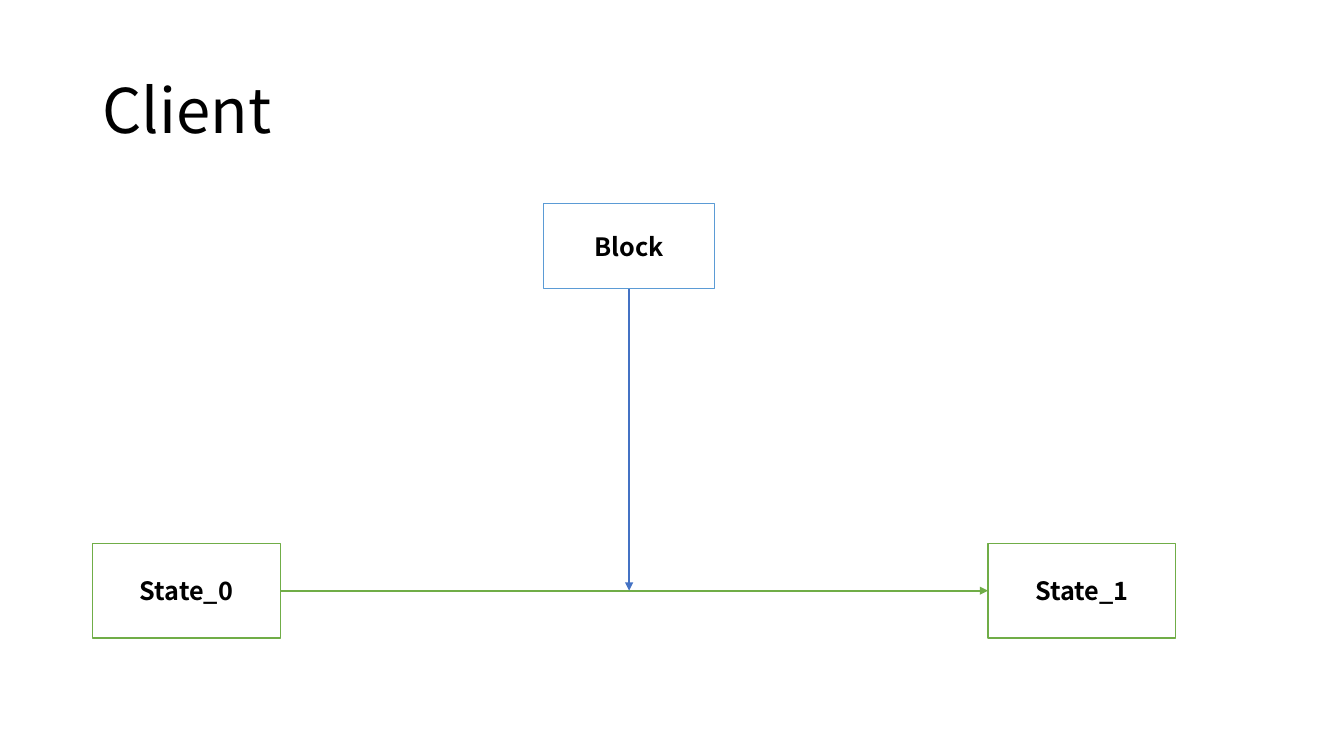
import pptx
import pptx.dml.color
import pptx.enum.shapes
import pptx.enum.text
import pptx.oxml.ns
import pptx.util
import lxml.etree

Inches = pptx.util.Inches
FONT = "Noto Sans CJK SC"
COLORS = {
    "text": "000000",
    "box": "FFFFFF",
    "state": "70AD47",
    "block": "5B9BD5",
    "input": "4472C4",
}


def color(name):
    """Return the named colour."""
    return pptx.dml.color.RGBColor.from_string(COLORS[name])


def write_text(shape, text, size, bold, alignment):
    """Put one vertically centred line of text in a shape."""
    frame = shape.text_frame
    frame.word_wrap = True
    frame.vertical_anchor = pptx.enum.text.MSO_ANCHOR.MIDDLE
    frame.text = text
    paragraph = frame.paragraphs[0]
    paragraph.alignment = alignment
    font = paragraph.runs[0].font
    font.name = FONT
    font.size = pptx.util.Pt(size)
    font.bold = bold
    font.color.rgb = color("text")


def add_title(slide, left, top, width, height):
    """Add the slide title in the given box."""
    title = slide.shapes.add_textbox(
        Inches(left), Inches(top), Inches(width), Inches(height))
    write_text(title, "Client", 44, False, pptx.enum.text.PP_ALIGN.LEFT)
    title.text_frame.paragraphs[0].line_spacing = 0.9


def add_box(slide, text, line_color, left, top, width, height):
    """Add an outlined box with a bold centred label."""
    box = slide.shapes.add_shape(
        pptx.enum.shapes.MSO_SHAPE.RECTANGLE,
        Inches(left), Inches(top), Inches(width), Inches(height))
    box.shadow.inherit = False
    box.fill.solid()
    box.fill.fore_color.rgb = color("box")
    box.line.color.rgb = color(line_color)
    box.line.width = pptx.util.Pt(1)
    write_text(box, text, 18, True, pptx.enum.text.PP_ALIGN.CENTER)


def add_arrow(slide, line_color, start, end):
    """Add a straight arrow between two points."""
    arrow = slide.shapes.add_connector(
        pptx.enum.shapes.MSO_CONNECTOR.STRAIGHT,
        *(Inches(length) for length in (*start, *end)))
    arrow.line.color.rgb = color(line_color)
    arrow.line.width = pptx.util.Pt(1.5)
    lxml.etree.SubElement(
        arrow.line._get_or_add_ln(), pptx.oxml.ns.qn("a:tailEnd"), type="triangle")
    lxml.etree.SubElement(
        arrow._element.spPr, pptx.oxml.ns.qn("a:effectLst"))


def add_transition(slide, left, top, width, height):
    """Add two states, the arrow between them and the block that acts on it."""
    state_width, state_height = 1.86, 0.94
    block_width, block_height = 1.7, 0.84
    state_top = top + height - state_height
    last_left = left + width - state_width
    arrow_y = state_top + state_height / 2
    block_x = left + 5.32

    for text, state_left in (("State_0", left), ("State_1", last_left)):
        add_box(slide, text, "state", state_left, state_top,
                state_width, state_height)
    add_arrow(slide, "state", (left + state_width, arrow_y), (last_left, arrow_y))
    add_arrow(slide, "input", (block_x, top + block_height), (block_x, arrow_y))
    add_box(slide, "Block", "block", block_x - block_width / 2, top,
            block_width, block_height)


def main():
    """Build and save the presentation."""
    presentation = pptx.Presentation()
    presentation.slide_width = Inches(13.33)
    presentation.slide_height = Inches(7.5)
    slide = presentation.slides.add_slide(presentation.slide_layouts[6])
    add_title(slide, 0.92, 0.4, 11.5, 1.45)
    add_transition(slide, 0.92, 2.02, 10.74, 4.31)
    presentation.save("out.pptx")


main()
